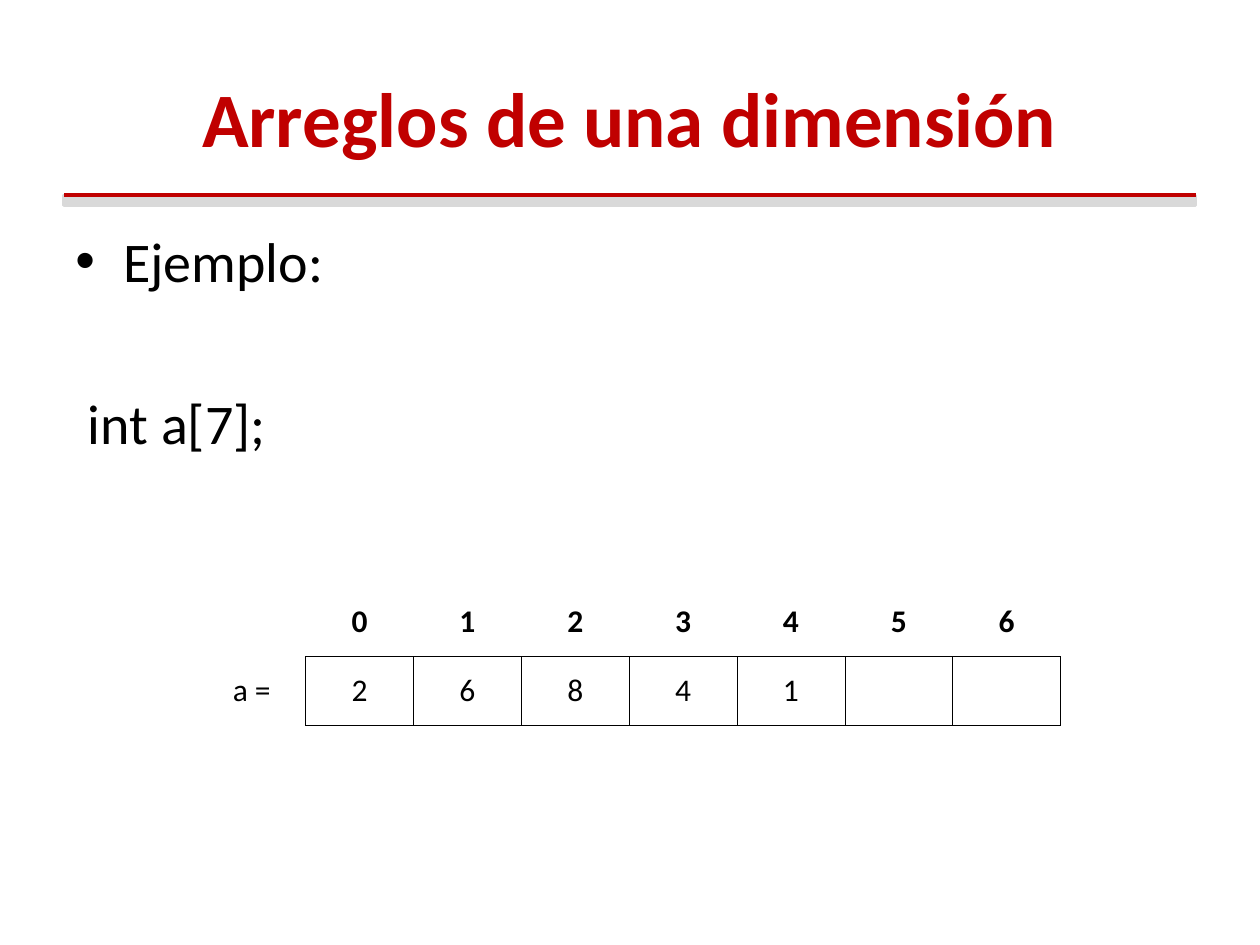
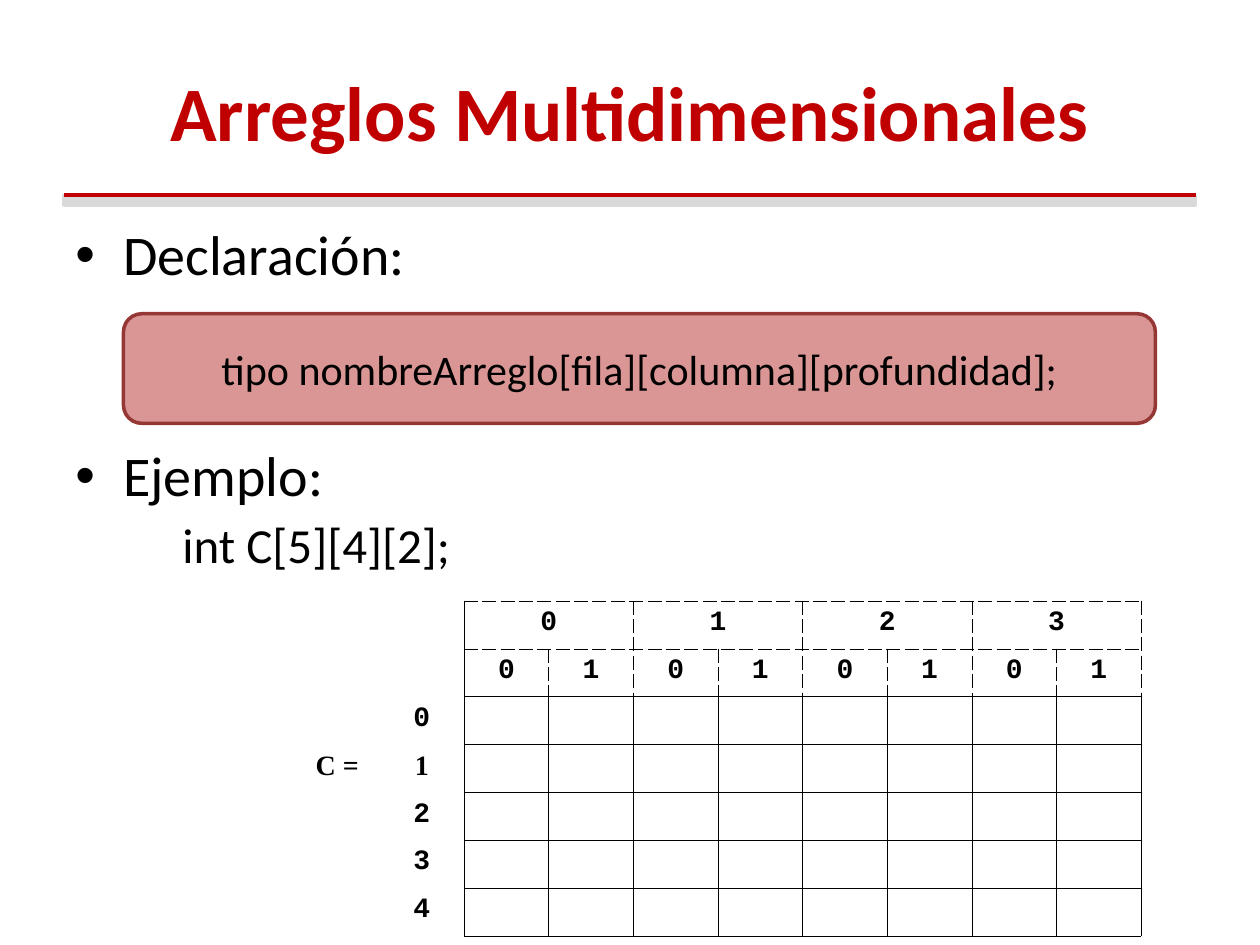
from itertools import product

from lxml import etree
from pptx import Presentation
from pptx.dml.color import RGBColor
from pptx.enum.shapes import MSO_CONNECTOR as Connector, MSO_SHAPE as Shape
from pptx.enum.text import MSO_ANCHOR as Anchor, PP_ALIGN as Align
from pptx.oxml.ns import qn
from pptx.util import Inches, Pt

RED, GREY, BLACK = "C00000", "D9D9D9", "000000"
PINK, DARK_RED = "D99694", "953735"
BODY_FONT, CODE_FONT, SERIF_FONT = "Calibri", "Courier New", "Times New Roman"
NO_GRID_STYLE = "{2D5ABB26-0587-4C30-8999-92F81FD0307C}"
BODY_SIZE = 32


def color(hex_text):
    """Turn a hex string into a colour."""
    return RGBColor.from_string(hex_text)


def style_runs(para, size, font=BODY_FONT, ink=BLACK, bold=False):
    """Format every run of a paragraph."""
    for span in para.runs:
        span.font.size = Pt(size)
        span.font.name = font
        span.font.bold = bold
        span.font.color.rgb = color(ink)


def add_band(page, left, top, width):
    """Draw the grey band and the red rule under the title."""
    band = page.shapes.add_shape(Shape.RECTANGLE, Inches(left), Inches(top),
                                 Inches(width), Inches(0.08))
    band.shadow.inherit = False
    band.fill.solid()
    band.fill.fore_color.rgb = color(GREY)
    band.line.color.rgb = color(GREY)
    band.line.width = Pt(2)
    rule = page.shapes.add_connector(Connector.STRAIGHT, Inches(left), Inches(top),
                                     Inches(left + width), Inches(top))
    rule.line.color.rgb = color(RED)
    rule.line.width = Pt(2.25)
    etree.SubElement(rule._element.spPr, qn("a:effectLst"))


def add_text_box(page, left, top, width, height):
    """Add a wrapping text box and return its frame."""
    box = page.shapes.add_textbox(Inches(left), Inches(top), Inches(width), Inches(height))
    box.text_frame.word_wrap = True
    return box.text_frame


def add_titled_page(deck, title, line_spacing):
    """Add a page with the shared band and title."""
    page = deck.slides.add_slide(deck.slide_layouts[6])
    add_band(page, 0.51, 1.55, 8.98)
    frame = add_text_box(page, 0.5, 0.3, 9, 1.25)
    frame.vertical_anchor = Anchor.MIDDLE
    para = frame.paragraphs[0]
    para.text = title
    para.alignment = Align.CENTER
    para.line_spacing = line_spacing
    style_runs(para, 44, ink=RED, bold=True)
    return page


def set_indent(para, margin, bulleted):
    """Indent a paragraph, with a hanging bullet if wanted."""
    props = para._p.get_or_add_pPr()
    props.set("marL", str(Inches(margin)))
    props.set("indent", str(-Inches(margin) if bulleted else 0))
    if bulleted:
        etree.SubElement(props, qn("a:buFont"), typeface="Arial")
        etree.SubElement(props, qn("a:buChar"), char="•")
    else:
        etree.SubElement(props, qn("a:buNone"))


def add_body(page, box, lines, line_spacing):
    """Write lines given as text, size, margin, bulleted and space before."""
    frame = add_text_box(page, *box)
    for index, (text, size, margin, bulleted, space) in enumerate(lines):
        para = frame.add_paragraph() if index else frame.paragraphs[0]
        para.text = text
        set_indent(para, margin, bulleted)
        para.line_spacing = line_spacing
        para.space_before = Pt(space)
        style_runs(para, size)


def add_grid(page, left, top, width, row_height, rows, columns):
    """Add a plain table with equal rows and columns."""
    frame = page.shapes.add_table(rows, columns, Inches(left), Inches(top),
                                  Inches(width), Inches(row_height * rows))
    table = frame.table
    table.first_row = table.horz_banding = False
    table._tbl.tblPr.find(qn("a:tableStyleId")).text = NO_GRID_STYLE
    for row in table.rows:
        row.height = Inches(row_height)
    for column in table.columns:
        column.width = Inches(width / columns)
    return table


def finish_cell(cell, edges, margin, anchor):
    """Set the edges, margins and empty fill; edges maps L, R, T, B to a dash."""
    props = cell._tc.get_or_add_tcPr()
    for side in "LRTB":
        if side in edges:
            line = etree.SubElement(props, qn(f"a:ln{side}"), w=str(Pt(0.45)))
            fill = etree.SubElement(line, qn("a:solidFill"))
            etree.SubElement(fill, qn("a:srgbClr"), val=BLACK)
            etree.SubElement(line, qn("a:prstDash"), val=edges[side])
    cell.fill.background()
    cell.margin_left = cell.margin_right = cell.margin_top = Inches(margin)
    cell.margin_bottom = Inches(0.02)  if anchor == Anchor.TOP else Inches(margin)
    cell.vertical_anchor = anchor


def write_cell(cell, text, size, font, bold):
    """Write centred text in a cell."""
    para = cell.text_frame.paragraphs[0]
    para.text = text
    para.alignment = Align.CENTER
    style_runs(para, size, font, bold=bold)


def add_vector(page, left, top, width, name, values, length):
    """Draw a one-dimensional array with its indices above."""
    table = add_grid(page, left, top, width, 0.55, 2, length + 1)
    solid = dict.fromkeys("LRTB", "solid")
    for row, column in product(range(2), range(length + 1)):
        boxed = row == 1 and column > 0
        finish_cell(table.cell(row, column), solid if boxed else {}, 0.04, Anchor.MIDDLE)
    write_cell(table.cell(1, 0), name, 18, BODY_FONT, False)
    for index in range(length):
        write_cell(table.cell(0, index + 1), str(index), 18, BODY_FONT, True)
    for index, value in enumerate(values, 1):
        write_cell(table.cell(1, index), str(value), 18, BODY_FONT, False)


def cube_edges(row, column):
    """Give the edges of one cell of the three-dimensional array."""
    if column == 0:
        return {}
    if column == 1:
        return {"R": "solid"}
    if row > 1:
        return dict.fromkeys("LRTB", "solid")
    return {"L": "solid" if column == 2 else "dash", "R": "dash", "T": "dash",
            "B": "solid" if row else "dash"}


def add_cube(page, left, top, width, name, rows, columns, depth):
    """Draw a three-dimensional array, each column split by depth."""
    last = 2 + columns * depth
    table = add_grid(page, left, top, width, 0.38, rows + 2, last)
    for start in range(2, last, depth):
        table.cell(0, start).merge(table.cell(0, start + depth - 1))
    for row, column in product(range(rows + 2), range(last)):
        cell = table.cell(row, column)
        if not cell.is_spanned:
            finish_cell(cell, cube_edges(row, column), 0.05, Anchor.TOP)
    for index, layer in product(range(columns), range(depth)):
        column = 2 + index * depth + layer
        if layer == 0:
            write_cell(table.cell(0, column), str(index), 16, CODE_FONT, True)
        write_cell(table.cell(1, column), str(layer), 16, CODE_FONT, True)
    name_index = 1
    for index in range(rows):
        font = SERIF_FONT if index == name_index else CODE_FONT
        write_cell(table.cell(index + 2, 1), str(index), 16, font, True)
    write_cell(table.cell(name_index + 2, 0), name, 16, SERIF_FONT, True)


def add_syntax_box(page, left, top, width, height, text):
    """Draw the rounded box that holds the declaration syntax."""
    box = page.shapes.add_shape(Shape.ROUNDED_RECTANGLE, Inches(left), Inches(top),
                                Inches(width), Inches(height))
    box.shadow.inherit = False
    box.fill.solid()
    box.fill.fore_color.rgb = color(PINK)
    box.line.color.rgb = color(DARK_RED)
    box.line.width = Pt(2)
    box.text_frame.word_wrap = True
    box.text_frame.vertical_anchor = Anchor.MIDDLE
    para = box.text_frame.paragraphs[0]
    para.text = text
    para.alignment = Align.CENTER
    style_runs(para, 24)


def build_vector_page(deck):
    """Build the page on one-dimensional arrays."""
    page = add_titled_page(deck, "Arreglos de una dimensión", 1.0)
    add_body(page, (0.5, 1.75, 9, 2), [
        ("Ejemplo:", BODY_SIZE, 0.38, True, 0),
        ("int a[7];", BODY_SIZE, 0.1, False, 54),
    ], 1.0)
    add_vector(page, 1.57, 4.66, 6.85, "a =", [2, 6, 8, 4, 1], 7)


def build_cube_page(deck):
    """Build the page on multidimensional arrays."""
    page = add_titled_page(deck, "Arreglos Multidimensionales", 0.9)
    add_body(page, (0.5, 1.75, 9, 3.48), [
        ("Declaración:", BODY_SIZE, 0.38, True, 0),
        ("Ejemplo:", BODY_SIZE, 0.38, True, 92),
        ("int C[5][4][2];", 28, 0.85, False, 7),
    ], 0.9)
    add_cube(page, 2.34, 4.77, 6.72, "C =", 5, 4, 2)
    add_syntax_box(page, 0.98, 2.49, 8.19, 0.87,
                   "tipo nombreArreglo[fila][columna][profundidad];")


def main():
    """Build and save the deck."""
    deck = Presentation()
    deck.slide_width, deck.slide_height = Inches(10), Inches(7.5)
    build_vector_page(deck)
    build_cube_page(deck)
    deck.save("out.pptx")


if __name__ == "__main__":
    main()
